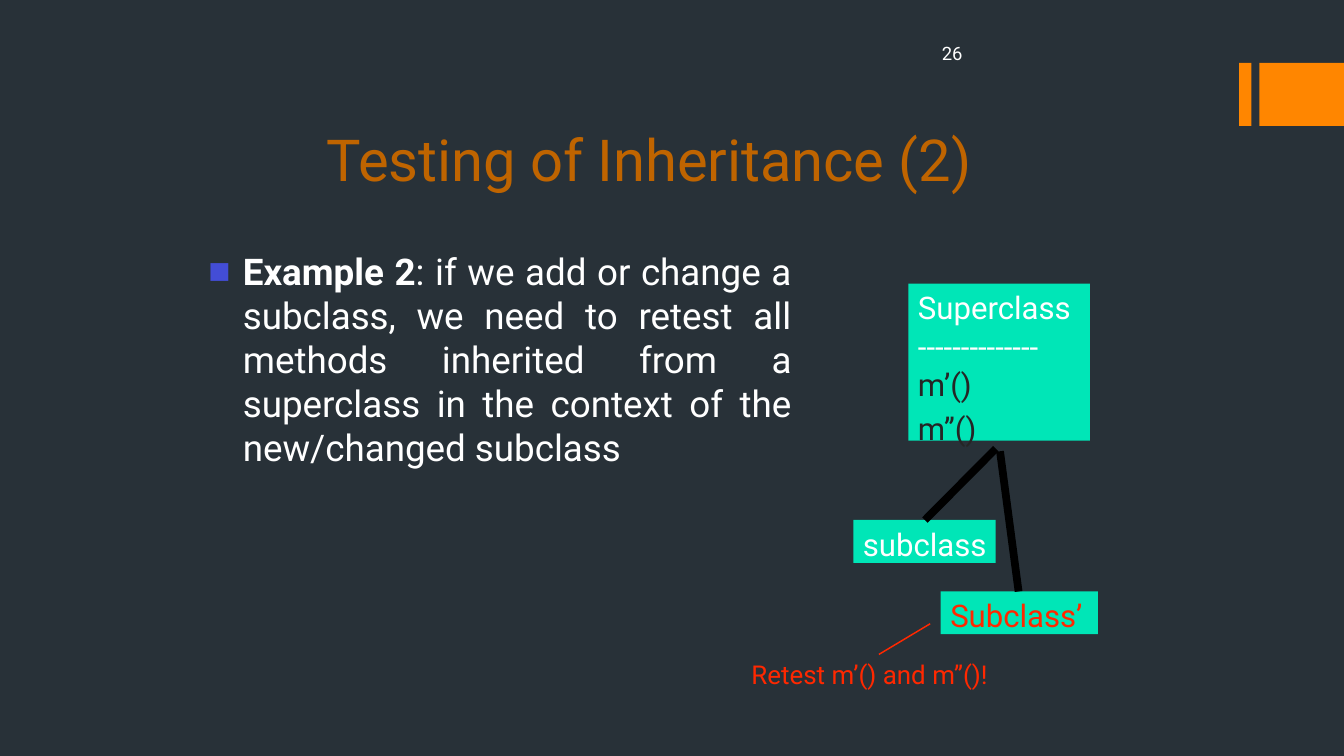
import pptx
import pptx.util
import pptx.dml.color
import pptx.enum.shapes
import pptx.enum.text
import lxml.etree
from pptx.oxml.ns import qn

Cm = pptx.util.Cm
Pt = pptx.util.Pt
ALIGN = pptx.enum.text.PP_ALIGN
ANCHOR = pptx.enum.text.MSO_ANCHOR

ORANGE, RUST, MINT = "FF8600", "BF6400", "00E6B7"
WHITE, DARK, BLACK, RED, BLUE = "FFFFFF", "252525", "000000", "FF2800", "434DD6"


def color(value):
    return pptx.dml.color.RGBColor.from_string(value)


class SlideBuilder:
    """Holds the style and the current slide."""

    font_name = "Roboto"

    def __init__(self, page, background):
        self.page = page
        page.background.fill.solid()
        page.background.fill.fore_color.rgb = color(background)

    def place(self, shape, left, top, width, height):
        shape.left, shape.top = Cm(left), Cm(top)
        shape.width, shape.height = Cm(width), Cm(height)

    def frame(self, shape, anchor=ANCHOR.TOP, left=0, top=0.03):
        frame = shape.text_frame
        frame.word_wrap = True
        frame.auto_size = pptx.enum.text.MSO_AUTO_SIZE.NONE
        frame.vertical_anchor = anchor
        frame.margin_left, frame.margin_top = Cm(left), Cm(top)
        frame.margin_right = frame.margin_bottom = 0
        return frame

    def style(self, para, size, ink, align=ALIGN.LEFT):
        para.alignment = align
        para.font.name = self.font_name
        para.font.size = Pt(size)
        para.font.color.rgb = color(ink)

    def title(self, text, at, size, ink):
        shape = self.page.shapes.title
        self.place(shape, *at)
        para = self.frame(shape, ANCHOR.BOTTOM).paragraphs[0]
        para.text = text
        self.style(para, size, ink)

    def bullet(self, lead, rest, at, size, ink, mark):
        shape = self.page.placeholders[1]
        self.place(shape, *at)
        para = self.frame(shape).paragraphs[0]
        para.space_before = 0
        props = para._p.get_or_add_pPr()
        props.set("marL", str(Cm(0.68)))
        props.set("indent", str(-Cm(0.65)))
        tint = lxml.etree.SubElement(props, qn("a:buClr"))
        lxml.etree.SubElement(tint, qn("a:srgbClr"), val=mark)
        lxml.etree.SubElement(props, qn("a:buChar"), char="■")
        self.style(para, size, ink, ALIGN.JUSTIFY)
        span = para.add_run()
        span.text = lead
        span.font.bold = True
        para.add_run().text = rest

    def label(self, text, at, size, ink, align=ALIGN.LEFT, anchor=ANCHOR.TOP):
        box = self.page.shapes.add_textbox(*map(Cm, at))
        para = self.frame(box, anchor).paragraphs[0]
        para.text = text
        self.style(para, size, ink, align)

    def block(self, at, fill, lines=(), size=16.7):
        """Filled rectangle; lines are (text, colour, line spacing)."""
        kind = pptx.enum.shapes.MSO_SHAPE.RECTANGLE
        box = self.page.shapes.add_shape(kind, *map(Cm, at))
        box.shadow.inherit = False
        box.fill.solid()
        box.fill.fore_color.rgb = color(fill)
        box.line.fill.background()
        frame = self.frame(box, left=0.18, top=0.1)
        for index, (text, ink, spacing) in enumerate(lines):
            para = frame.add_paragraph() if index else frame.paragraphs[0]
            para.text = text
            para.line_spacing = spacing
            self.style(para, size, ink)

    def line(self, start, end, ink, width):
        kind = pptx.enum.shapes.MSO_CONNECTOR.STRAIGHT
        link = self.page.shapes.add_connector(kind, *map(Cm, start + end))
        link.line.color.rgb = color(ink)
        link.line.width = Pt(width)
        lxml.etree.SubElement(link._element.spPr, qn("a:effectLst"))


def main():
    deck = pptx.Presentation()
    deck.slide_width, deck.slide_height = Cm(25.4), Cm(14.29)
    slide = SlideBuilder(deck.slides.add_slide(deck.slide_layouts[1]), "283138")

    # Corner bars and page number
    for left, width in ((23.42, 0.23), (23.8, 1.6)):
        slide.block((left, 1.19, width, 1.19), ORANGE)
    slide.label("26", (16.41, 0.76, 1.78, 0.46), 9.9, WHITE,
                ALIGN.RIGHT, ANCHOR.MIDDLE)

    # Title and example
    slide.title("Testing of Inheritance (2)", (6.17, 2.31, 12.47, 1.35), 31, RUST)
    slide.bullet("Example 2",
                 ": if we add or change a subclass, we need to retest all "
                 "methods inherited from a superclass in the context of the "
                 "new/changed subclass",
                 (3.91, 4.67, 11.05, 4.24), 19.7, WHITE, BLUE)

    # Class diagram
    slide.block((17.17, 5.36, 3.43, 2.97), MINT, [
        ("Superclass", WHITE, 1.0),
        ("--------------", WHITE, 1.02),
        ("m’()", DARK, 1.02),
        ("m’’()", DARK, 1.18),
    ])
    slide.block((16.13, 9.83, 2.69, 0.81), MINT, [("subclass", WHITE, 1.0)])
    slide.line((17.48, 9.83), (18.82, 8.48), BLACK, 4.14)
    slide.block((17.78, 11.18, 2.97, 0.81), MINT, [("Subclass’", RED, 1.0)])
    slide.line((19.25, 11.18), (18.9, 8.53), BLACK, 4.14)

    # Retest note
    slide.label("Retest m’() and m’’()!", (14.2, 12.42, 4.78, 0.64), 13.9, RED)
    slide.line((16.61, 12.37), (17.58, 11.79), RED, 0.78)

    deck.save("out.pptx")


if __name__ == "__main__":
    main()
